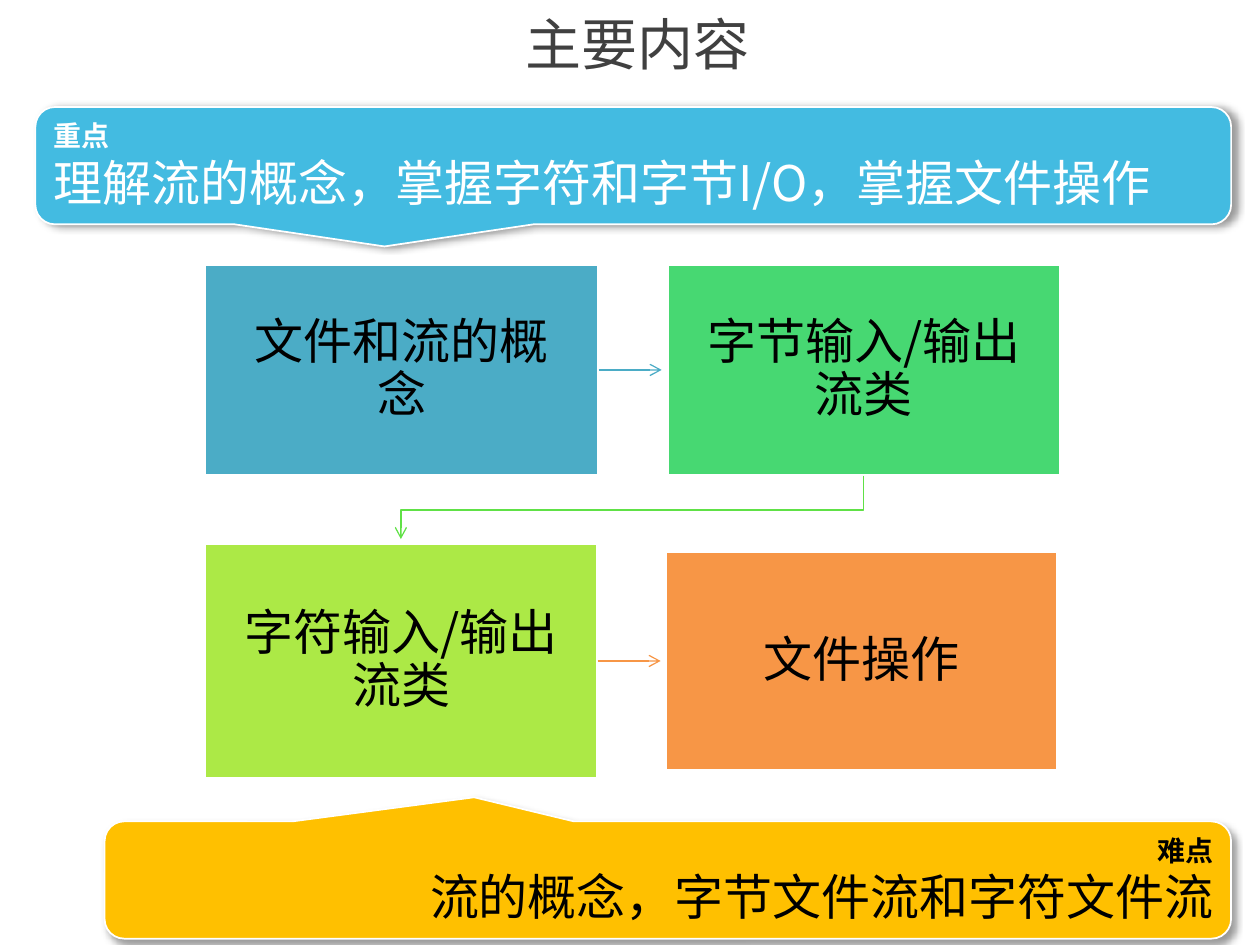
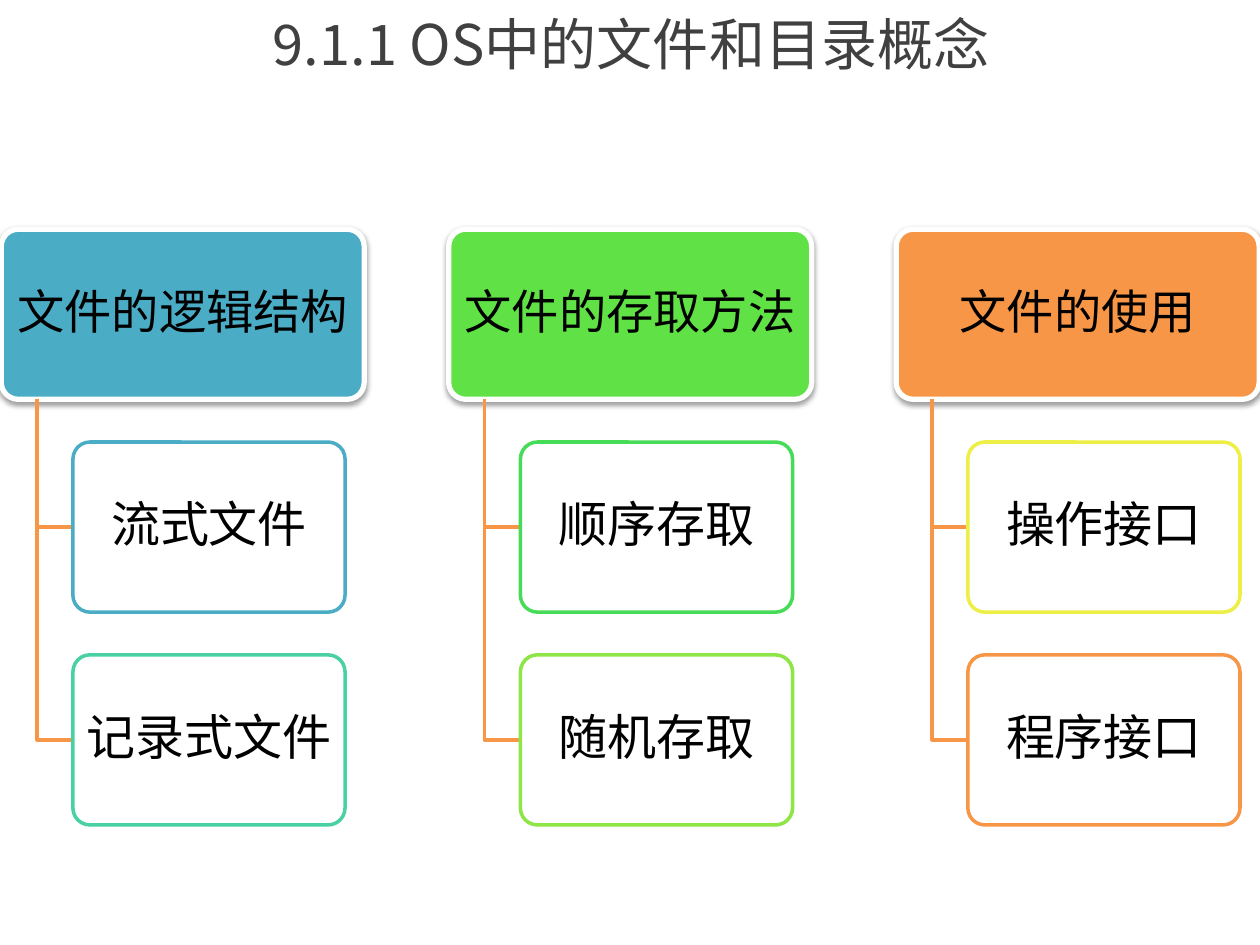
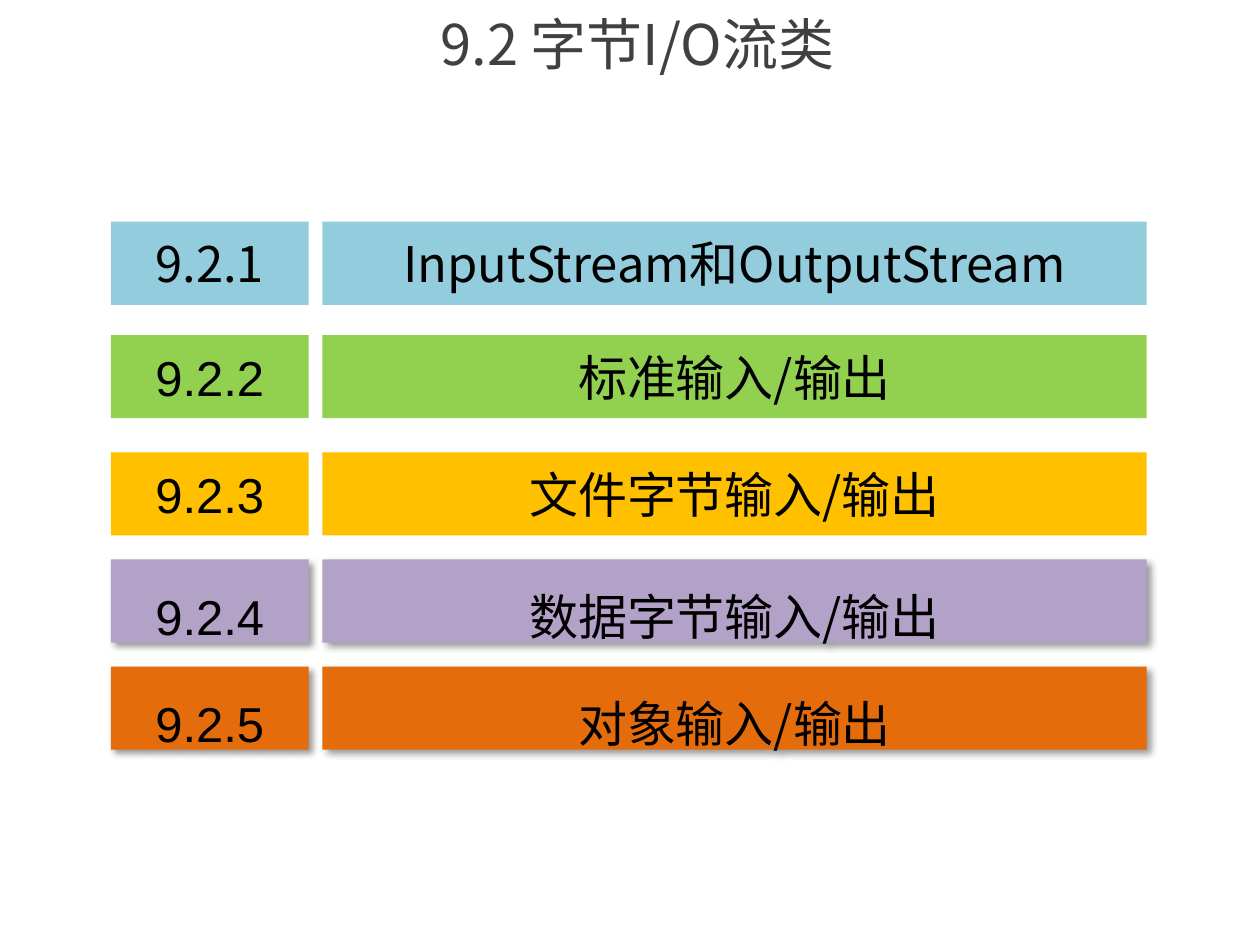
from dataclasses import dataclass

from lxml import etree
from pptx import Presentation
from pptx import util as u
from pptx.dml.color import RGBColor
from pptx.enum import shapes, text
from pptx.oxml.ns import qn

Pt = u.Pt
SHAPE = shapes.MSO_SHAPE
ALIGN = text.PP_ALIGN
ANCHOR = text.MSO_ANCHOR


@dataclass(frozen=True)
class Theme:
    cjk: str = "Noto Sans CJK SC"
    latin: str = "Arial"
    title_size: int = 32
    body_size: int = 28
    heading_size: int = 27
    label_size: int = 16
    black: str = "000000"
    white: str = "FFFFFF"
    title: str = "404040"
    teal: str = "4BACC6"
    sky: str = "43BBE1"
    pale_blue: str = "93CDDD"
    mint: str = "49D1A3"
    emerald: str = "47D872"
    green: str = "47DC57"
    bright_green: str = "60E146"
    leaf: str = "92D050"
    grass: str = "8DE646"
    lime: str = "ACE946"
    yellow: str = "EEEF46"
    gold: str = "FFC000"
    orange: str = "F79646"
    rust: str = "E46C0A"
    lilac: str = "B3A2C7"
    soft_shadow: tuple = (40, 4, 3, 45)
    side_shadow: tuple = (40, 4, 3, 0)
    drop_shadow: tuple = (38, 3.1, 1.6, 90)


THEME = Theme()


def add_shadow(effects, opacity, blur, distance, angle):
    shadow = etree.SubElement(effects, qn("a:outerShdw"), blurRad=str(Pt(blur)),
                              dist=str(Pt(distance)), dir=str(angle * 60000),
                              algn="tl", rotWithShape="0")
    color = etree.SubElement(shadow, qn("a:srgbClr"), val=THEME.black)
    etree.SubElement(color, qn("a:alpha"), val=str(opacity * 1000))


def write(para, content, *, size=THEME.body_size, color=THEME.black, font=THEME.cjk,
          bold=False, align=ALIGN.CENTER, spacing=None, shadow=None):
    para.alignment = align
    para.line_spacing = spacing
    span = para.add_run()
    span.text = content
    span.font.size = Pt(size)
    span.font.bold = bold
    span.font.color.rgb = RGBColor.from_string(color)
    properties = span.font._element
    if shadow:
        add_shadow(etree.SubElement(properties, qn("a:effectLst")), *shadow)
    span.font.name = font
    etree.SubElement(properties, qn("a:ea"), typeface=THEME.cjk)


class Builder:
    def __init__(self, theme):
        self.theme = theme
        self.deck = Presentation()
        self.deck.slide_width, self.deck.slide_height = Pt(720), Pt(540)
        self.page = None

    def add_page(self, title):
        self.page = self.deck.slides.add_slide(self.deck.slide_layouts[5])
        box = self.page.shapes.title
        box.left, box.top, box.width, box.height = Pt(51.8), Pt(0), Pt(625), Pt(49)
        box.text_frame.vertical_anchor = ANCHOR.MIDDLE
        write(box.text_frame.paragraphs[0], title, size=self.theme.title_size,
              color=self.theme.title, shadow=self.theme.soft_shadow)

    def outline(self, item, color, width):
        item.line.color.rgb = RGBColor.from_string(color)
        item.line.width = Pt(width)

    def add_box(self, kind, left, top, width, height, fill, *, line=None, shadow=None,
                adjust=(), inset=(7.2, 3.6), opacity=None):
        box = self.page.shapes.add_shape(kind, Pt(left), Pt(top), Pt(width), Pt(height))
        for index, value in enumerate(adjust):
            box.adjustments[index] = value
        box.fill.solid()
        box.fill.fore_color.rgb = RGBColor.from_string(fill)
        if opacity:
            color = box._element.spPr.find(qn("a:solidFill")).find(qn("a:srgbClr"))
            etree.SubElement(color, qn("a:alpha"), val=str(opacity * 1000))
        if line:
            self.outline(box, *line)
        else:
            box.line.fill.background()
        box.shadow.inherit = False
        if shadow:
            add_shadow(box._element.spPr.find(qn("a:effectLst")), *shadow)
        frame = box.text_frame
        frame.word_wrap = True
        frame.vertical_anchor = ANCHOR.MIDDLE
        frame.margin_left = frame.margin_right = Pt(inset[0])
        frame.margin_top = frame.margin_bottom = Pt(inset[1])
        return box

    def add_callout(self, left, top, width, fill, pointer, label, content, color, align, shadow):
        box = self.add_box(SHAPE.ROUNDED_RECTANGULAR_CALLOUT, left, top, width, 67, fill,
                           line=(self.theme.white, 1), shadow=shadow, adjust=(*pointer, 0.167))
        frame = box.text_frame
        frame.vertical_anchor = ANCHOR.TOP
        frame.auto_size = text.MSO_AUTO_SIZE.SHAPE_TO_FIT_TEXT
        write(frame.paragraphs[0], label, size=self.theme.label_size, color=color,
              bold=True, align=align)
        write(frame.add_paragraph(), content, color=color, align=align)

    def add_arrowhead(self, item):
        line = item._element.spPr.find(qn("a:ln"))
        etree.SubElement(line, qn("a:tailEnd"), type="arrow")

    def add_arrow(self, source, length, color):
        x = source.left + source.width
        y = source.top + source.height // 2
        arrow = self.page.shapes.add_connector(shapes.MSO_CONNECTOR.STRAIGHT,
                                               x, y, x + Pt(length), y)
        arrow.begin_connect(source, 3)
        self.outline(arrow, color, 0.75)
        self.add_arrowhead(arrow)
        etree.SubElement(arrow._element.spPr, qn("a:effectLst"))

    def add_path(self, points, color, width, arrow=False):
        start, *others = [(Pt(x), Pt(y)) for x, y in points]
        builder = self.page.shapes.build_freeform(*start)
        builder.add_line_segments(others, close=False)
        path = builder.convert_to_shape()
        path.fill.background()
        self.outline(path, color, width)
        path.shadow.inherit = False
        if arrow:
            self.add_arrowhead(path)


def build_contents(builder):
    theme = builder.theme
    builder.add_page("主要内容")
    steps = [
        ("文件和流的概念", 116.9, 151, 225.2, 120.8, theme.teal),
        ("字节输入/输出流类", 381, 151, 225.2, 120.8, theme.emerald),
        ("字符输入/输出流类", 116.9, 310.3, 224.6, 134.8, theme.lime),
        ("文件操作", 380.3, 315.2, 224, 125.3, theme.orange),
    ]
    boxes = []
    for label, left, top, width, height, fill in steps:
        box = builder.add_box(SHAPE.RECTANGLE, left, top, width, height, fill,
                              line=(theme.white, 2), inset=(15.8, 15.8))
        write(box.text_frame.paragraphs[0], label, spacing=0.9)
        boxes.append(box)
    builder.add_arrow(boxes[0], 36, theme.teal)
    builder.add_path([(493.4, 271.8), (493.4, 291.4), (229.1, 291.4), (229.1, 308)],
                     theme.bright_green, 0.75, arrow=True)
    builder.add_arrow(boxes[2], 36, theme.orange)
    builder.add_callout(20.2, 61.2, 683.3, theme.sky, (-0.208, 0.689), "重点",
                        "理解流的概念，掌握字符和字节I/O，掌握文件操作",
                        theme.white, ALIGN.LEFT, theme.side_shadow)
    builder.add_callout(59.8, 469.4, 643.7, theme.gold, (-0.172, -0.706), "难点",
                        "流的概念，字节文件流和字符文件流",
                        theme.black, ALIGN.RIGHT, theme.soft_shadow)


def build_file_concepts(builder):
    theme = builder.theme
    builder.add_page("9.1.1 OS中的文件和目录概念 ")
    columns = [
        ("文件的逻辑结构", theme.teal, [("流式文件", theme.teal), ("记录式文件", theme.mint)]),
        ("文件的存取方法", theme.bright_green,
         [("顺序存取", theme.green), ("随机存取", theme.grass)]),
        ("文件的使用", theme.orange, [("操作接口", theme.yellow), ("程序接口", theme.orange)]),
    ]
    top, height, step = 131, 97.2, 121.6
    rounded = {"adjust": (0.1,), "inset": (4.3, 2.9)}
    for column, (heading, fill, children) in enumerate(columns):
        left = 0.7 + 255.7 * column
        trunk, child_left = left + 20.5, left + 41
        box = builder.add_box(SHAPE.ROUNDED_RECTANGLE, left, top, 207.4, height, fill,
                              line=(theme.white, 3), shadow=theme.drop_shadow, **rounded)
        write(box.text_frame.paragraphs[0], heading, size=theme.heading_size, spacing=0.9)
        for row, (label, color) in enumerate(children, start=1):
            child_top = top + step * row
            middle = child_top + height / 2
            builder.add_path([(trunk, top + height), (trunk, middle), (child_left, middle)],
                             theme.orange, 2)
            box = builder.add_box(SHAPE.ROUNDED_RECTANGLE, child_left, child_top, 155.5, height,
                                  theme.white, line=(color, 2), opacity=90, **rounded)
            write(box.text_frame.paragraphs[0], label, spacing=0.9)


def build_byte_streams(builder):
    theme = builder.theme
    builder.add_page("9.2 字节I/O流类")
    rows = [
        (126.7, theme.pale_blue, theme.cjk, [("InputStream和OutputStream", theme.cjk)], False),
        (191.5, theme.leaf, theme.latin, [("标准输入/输出", theme.cjk)], False),
        (258.5, theme.gold, theme.latin, [("文件字节输入/输出", theme.cjk)], False),
        (319.7, theme.lilac, theme.latin,
         [("数据字节", theme.latin), ("输入/输出", theme.cjk)], True),
        (380.9, theme.rust, theme.latin, [("对象输入/输出", theme.cjk)], True),
    ]
    for index, (top, fill, number_font, topic, raised) in enumerate(rows, start=1):
        number = [(f"9.2.{index}", number_font)]
        for left, width, spans in ((184.3, 470.9, topic), (63.4, 113, number)):
            box = builder.add_box(SHAPE.RECTANGLE, left, top, width, 47.5, fill,
                                  shadow=theme.soft_shadow if raised else None)
            box.text_frame.word_wrap = not raised
            for content, font in spans:
                write(box.text_frame.paragraphs[0], content, font=font,
                      spacing=1.5 if raised else None)


def main():
    builder = Builder(THEME)
    build_contents(builder)
    build_file_concepts(builder)
    build_byte_streams(builder)
    builder.deck.save("out.pptx")


if __name__ == "__main__":
    main()
